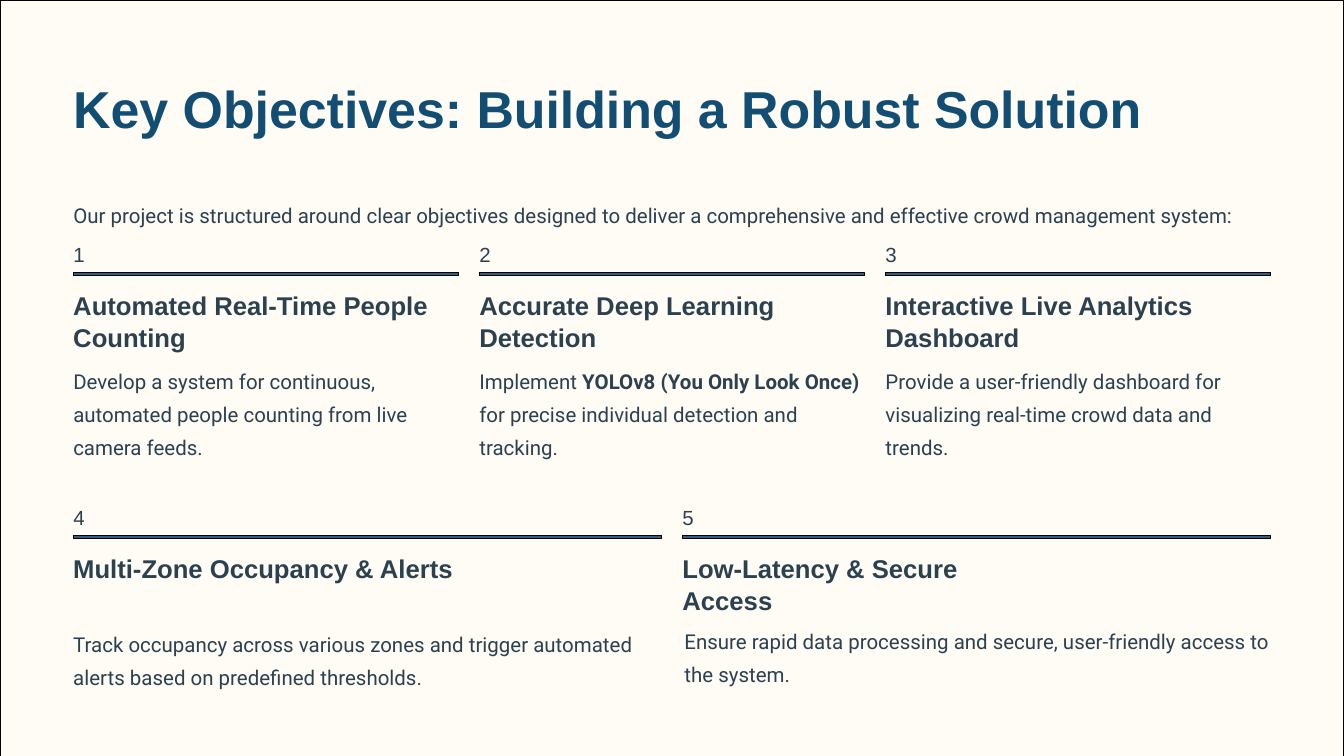
from dataclasses import dataclass

from pptx import Presentation
from pptx.dml.color import RGBColor
from pptx.enum.shapes import MSO_SHAPE as Shape
from pptx.enum.text import MSO_AUTO_SIZE as AutoSize
from pptx.util import Inches, Pt

PAGE_W, PAGE_H = 20, 11.25
LEFT, CONTENT_W, GAP = 1.09, 17.82, 0.31
INK, TITLE, RULE, PAPER, BLACK = "2B4150", "124E73", "325F7B", "FFFCF5", "000000"


@dataclass(frozen=True)
class Style:
    font: str
    size: float
    leading: float
    color: str = INK
    bold: bool = False


HEADLINE = Style("Arial", 55.6, 69.4, TITLE, True)
HEADING = Style("Arial", 27.5, 34.4, bold=True)
NUMBER = Style("Arial", 21.9, 35.6)
BODY = Style("Roboto", 21.9, 35.6)


@dataclass(frozen=True)
class Objective:
    heading: str
    body: str
    body_top: float
    strong: str = ""
    heading_w: float = 5.74
    body_shift: float = 0


ROWS = [
    (3.48, [
        Objective("Automated Real-Time People Counting",
                  "Develop a system for continuous, automated people counting "
                  "from live camera feeds.", 5.36),
        Objective("Accurate Deep Learning Detection",
                  "Implement YOLOv8 (You Only Look Once) for precise individual "
                  "detection and tracking.", 5.36, strong="YOLOv8 (You Only Look Once)"),
        Objective("Interactive Live Analytics Dashboard",
                  "Provide a user-friendly dashboard for visualizing real-time "
                  "crowd data and trends.", 5.36),
    ]),
    (7.39, [
        Objective("Multi-Zone Occupancy & Alerts",
                  "Track occupancy across various zones and trigger automated "
                  "alerts based on predefined thresholds.", 9.28),
        Objective("Low-Latency & Secure Access",
                  "Ensure rapid data processing and secure, user-friendly access "
                  "to the system.", 9.23, heading_w=5.4, body_shift=0.03),
    ]),
]


def rgb(value: str) -> RGBColor:
    return RGBColor.from_string(value)


def add_box(s, x: float, y: float, w: float, h: float, fill: str) -> None:
    sp = s.shapes.add_shape(Shape.RECTANGLE, Inches(x), Inches(y), Inches(w), Inches(h))
    sp.shadow.inherit = False
    sp.fill.solid()
    sp.fill.fore_color.rgb = rgb(fill)
    sp.line.color.rgb = rgb(BLACK)
    sp.line.width = Pt(1)


def add_text(s, x: float, y: float, w: float, h: float, text: str,
             style: Style, strong: str = "") -> None:
    sp = s.shapes.add_textbox(Inches(x), Inches(y), Inches(w), Inches(h))
    tf = sp.text_frame
    tf.margin_left = tf.margin_top = tf.margin_right = tf.margin_bottom = 0
    tf.word_wrap = True
    tf.auto_size = AutoSize.SHAPE_TO_FIT_TEXT
    p = tf.paragraphs[0]
    p.line_spacing = Pt(style.leading)
    before, match, after = text.partition(strong) if strong else (text, "", "")
    for part in filter(None, (before, match, after)):
        r = p.add_run()
        r.text = part
        r.font.name = style.font
        r.font.size = Pt(style.size)
        r.font.bold = style.bold or part == strong
        r.font.color.rgb = rgb(style.color)


def add_objective(s, number: int, x: float, y: float, w: float, item: Objective) -> None:
    add_text(s, x, y, 0.31, 0.48, str(number), NUMBER)
    add_box(s, x, y + 0.58, w, 0.04, RULE)
    add_text(s, x, y + 0.81, item.heading_w, 0.98, item.heading, HEADING)
    add_text(s, x + item.body_shift, item.body_top, w, 1.09, item.body, BODY, item.strong)


def main() -> None:
    prs = Presentation()
    prs.slide_width, prs.slide_height = Inches(PAGE_W), Inches(PAGE_H)
    s = prs.slides.add_slide(prs.slide_layouts[6])
    s.background.fill.solid()
    s.background.fill.fore_color.rgb = rgb(BLACK)
    add_box(s, 0, 0, PAGE_W, PAGE_H, PAPER)
    add_text(s, LEFT, 1.11, 15.93, 1, "Key Objectives: Building a Robust Solution", HEADLINE)
    add_text(s, LEFT, 2.89, CONTENT_W, 0.59,
             "Our project is structured around clear objectives designed to deliver "
             "a comprehensive and effective crowd management system:", BODY)
    number = 1
    for top, items in ROWS:
        w = (CONTENT_W - GAP * (len(items) - 1)) / len(items)
        for col, item in enumerate(items):
            add_objective(s, number, LEFT + col * (w + GAP), top, w, item)
            number += 1
    prs.save("out.pptx")


if __name__ == "__main__":
    main()
